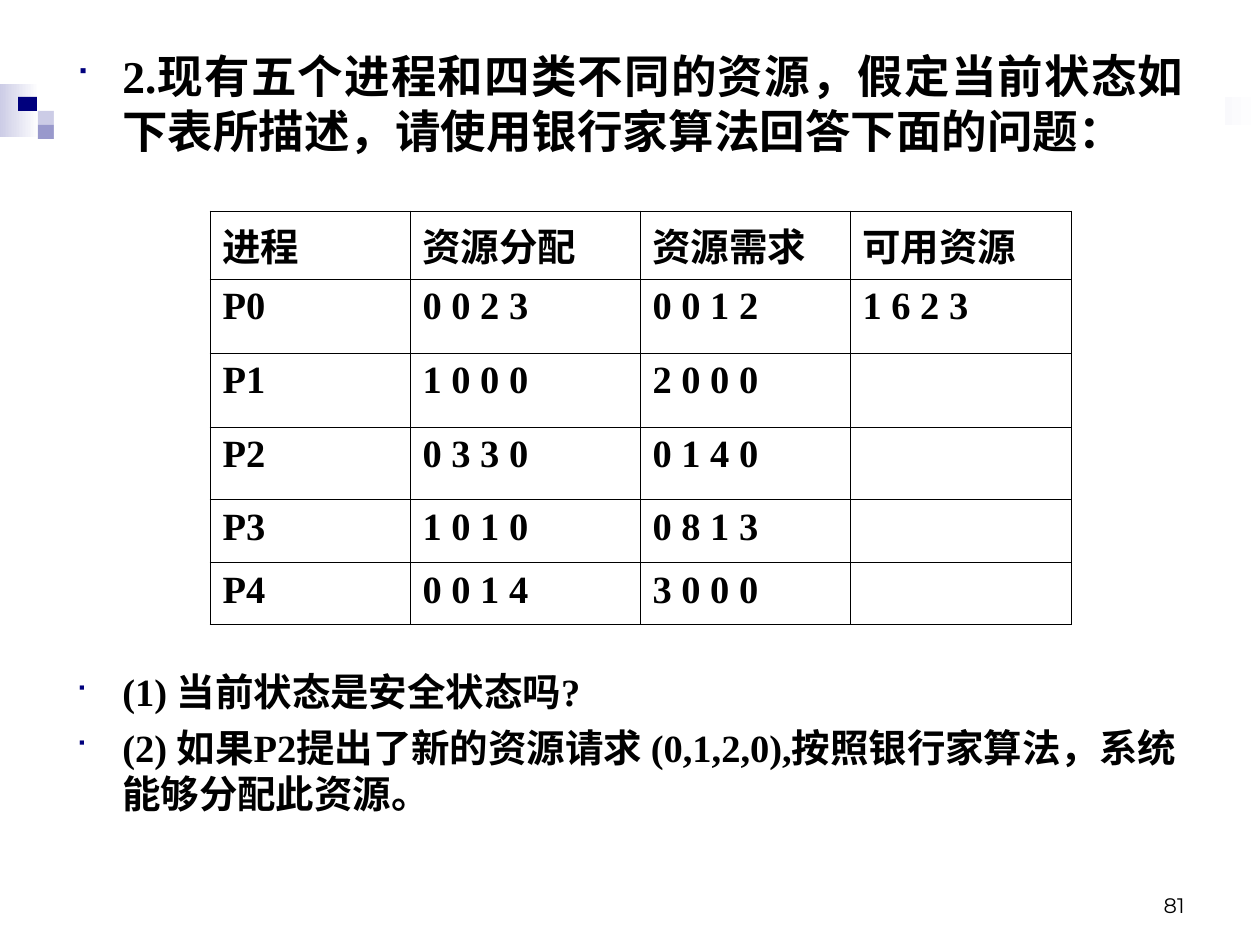
from dataclasses import dataclass

from lxml.etree import SubElement
from pptx import Presentation
from pptx.dml.color import RGBColor
from pptx.enum.lang import MSO_LANGUAGE_ID
from pptx.enum.shapes import MSO_SHAPE
from pptx.enum.text import MSO_ANCHOR, PP_ALIGN
from pptx.oxml.ns import qn
from pptx.util import Pt

EMU_PER_PX = 914400 / 126


def px(length):
    return round(length * EMU_PER_PX)


@dataclass(frozen=True)
class Theme:
    ink: str = "000000"
    paper: str = "FFFFFF"
    navy: str = "00007D"
    lilac: str = "CCCCE6"
    violet: str = "9999CC"
    serif: str = "Times New Roman"
    sans: str = "Montserrat"
    symbols: str = "Wingdings"
    heading: int = 26
    body: int = 22
    footer: int = 12
    border: float = 0.45


class SlideWriter:
    """Draws styled elements on the current slide."""

    def __init__(self, page, theme):
        self.page = page
        self.theme = theme

    def rectangle(self, place, color, fade_to=None):
        box = self.page.shapes.add_shape(MSO_SHAPE.RECTANGLE, *map(px, place))
        box.shadow.inherit = False
        box.line.fill.background()
        if fade_to:
            box.fill.gradient()
            box.fill.gradient_angle = 0
            for stop, shade in zip(box.fill.gradient_stops, (color, fade_to)):
                stop.color.rgb = RGBColor.from_string(shade)
        else:
            box.fill.solid()
            box.fill.fore_color.rgb = RGBColor.from_string(color)

    def span(self, para, text, size, font=None, bold=True):
        span = para.add_run()
        span.text = text
        span.font.name = font or self.theme.serif
        span.font.size = Pt(size)
        span.font.bold = bold
        span.font.color.rgb = RGBColor.from_string(self.theme.ink)
        span.font.language_id = MSO_LANGUAGE_ID.SIMPLIFIED_CHINESE

    def text_frame(self, place):
        frame = self.page.shapes.add_textbox(*map(px, place)).text_frame
        frame.word_wrap = True
        return frame

    def bullet(self, para):
        properties = para._p.get_or_add_pPr()
        properties.set("marL", str(px(47)))
        properties.set("indent", str(px(-47)))
        color = SubElement(properties, qn("a:buClr"))
        SubElement(color, qn("a:srgbClr"), val=self.theme.navy)
        SubElement(properties, qn("a:buSzPct"), val="75000")
        SubElement(properties, qn("a:buFont"), typeface=self.theme.symbols, charset="2")
        SubElement(properties, qn("a:buChar"), char="■")

    def bullets(self, place, texts, size, align=PP_ALIGN.LEFT):
        frame = self.text_frame(place)
        for index, text in enumerate(texts):
            para = frame.add_paragraph() if index else frame.paragraphs[0]
            self.bullet(para)
            para.alignment = align
            if index:
                para.space_before = Pt(size / 4)
            self.span(para, text, size)

    def page_number(self, place, text):
        frame = self.text_frame(place)
        frame.vertical_anchor = MSO_ANCHOR.BOTTOM
        para = frame.paragraphs[0]
        para.alignment = PP_ALIGN.RIGHT
        self.span(para, text, self.theme.footer, self.theme.sans, bold=False)

    def cell_borders(self, cell):
        properties = cell._tc.get_or_add_tcPr()
        for side in ("lnL", "lnR", "lnT", "lnB"):
            line = SubElement(properties, qn(f"a:{side}"), w=str(Pt(self.theme.border)))
            fill = SubElement(line, qn("a:solidFill"))
            SubElement(fill, qn("a:srgbClr"), val=self.theme.ink)

    def table(self, left, top, widths, heights, rows):
        place = (left, top, sum(widths), sum(heights))
        table = self.page.shapes.add_table(
            len(heights), len(widths), *map(px, place)).table
        table.first_row = table.horz_banding = False
        for column, width in zip(table.columns, widths):
            column.width = px(width)
        for table_row, height, texts in zip(table.rows, heights, rows):
            table_row.height = px(height)
            for cell, text in zip(table_row.cells, texts):
                self.cell_borders(cell)
                cell.fill.background()
                if text:
                    self.span(cell.text_frame.paragraphs[0], text, self.theme.body)


PROCESSES = [
    ("进程", "资源分配", "资源需求", "可用资源"),
    ("P0", "0 0 2 3", "0 0 1 2", "1 6 2 3"),
    ("P1", "1 0 0 0", "2 0 0 0", ""),
    ("P2", "0 3 3 0", "0 1 4 0", ""),
    ("P3", "1 0 1 0", "0 8 1 3", ""),
    ("P4", "0 0 1 4", "3 0 0 0", ""),
]
HEADING = "2.现有五个进程和四类不同的资源，假定当前状态如下表所描述，请使用银行家算法回答下面的问题："
QUESTIONS = [
    "(1) 当前状态是安全状态吗?",
    "(2) 如果P2提出了新的资源请求 (0,1,2,0),按照银行家算法，系统能够分配此资源。",
]


def main():
    theme = Theme()
    deck = Presentation()
    deck.slide_width, deck.slide_height = px(1260), px(945)
    writer = SlideWriter(deck.slides.add_slide(deck.slide_layouts[6]), theme)

    writer.rectangle((0, 84, 39, 53), theme.lilac, theme.paper)
    writer.rectangle((57, 97, 1203, 28), theme.navy, theme.paper)
    writer.rectangle((38, 111, 19, 14), theme.lilac)
    writer.rectangle((18, 97, 19, 14), theme.navy)
    writer.rectangle((38, 125, 19, 14), theme.violet)
    writer.page_number((903, 861, 294, 63), "81")
    writer.rectangle((54, 66, 1171, 228), theme.paper)

    writer.bullets((63, 42, 1134, 252), [HEADING], theme.heading, PP_ALIGN.JUSTIFY)
    writer.table(210, 211, (200, 230, 210, 221), (68, 74, 74, 73, 63, 62), PROCESSES)
    writer.bullets((63, 662, 1134, 200), QUESTIONS, theme.body)
    deck.save("out.pptx")


if __name__ == "__main__":
    main()
